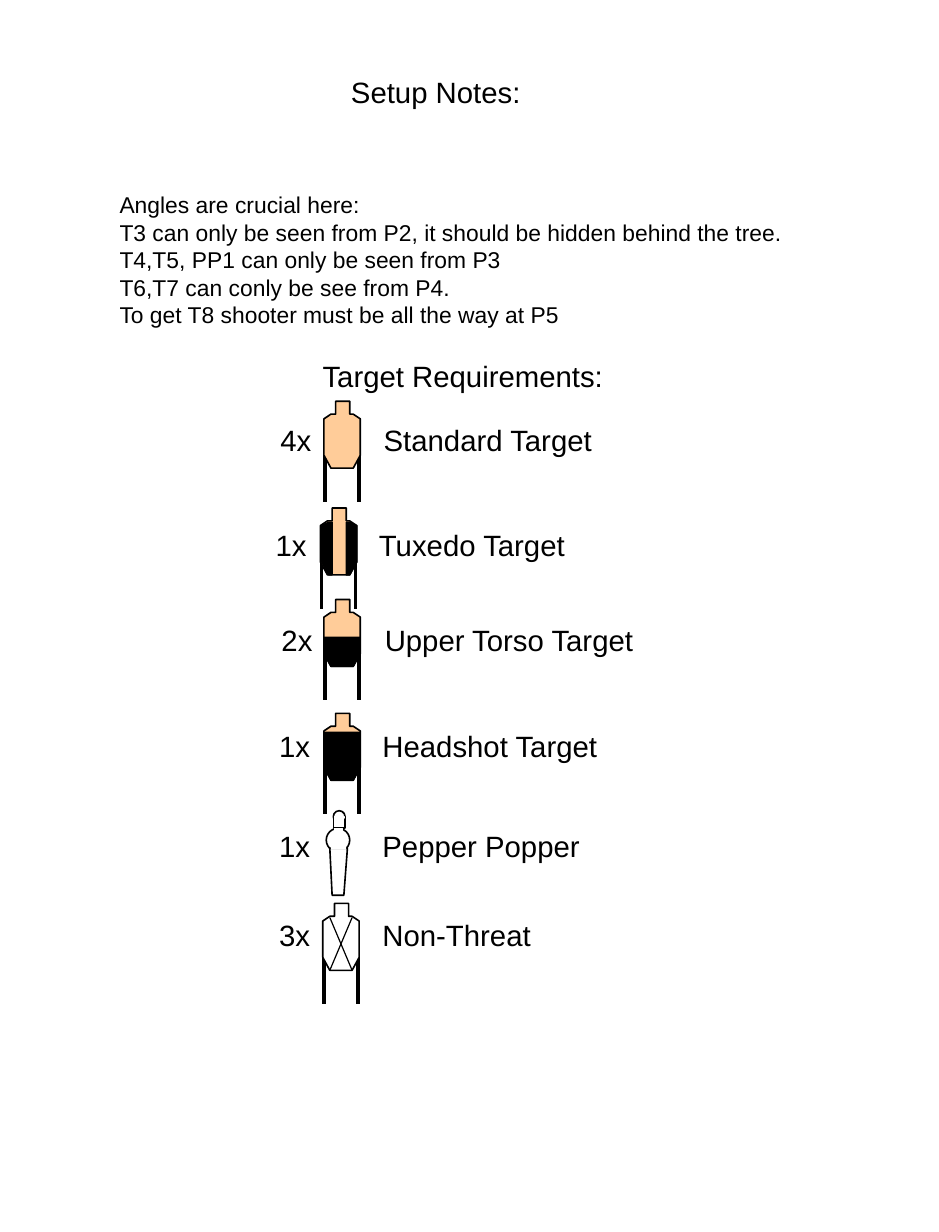
from lxml.etree import SubElement
from pptx import Presentation
from pptx.dml.color import RGBColor
from pptx.enum.shapes import MSO_CONNECTOR, MSO_SHAPE
from pptx.enum.text import MSO_ANCHOR, MSO_AUTO_SIZE, PP_ALIGN
from pptx.oxml.ns import qn
from pptx.util import Inches, Pt

BLACK = RGBColor(0x00, 0x00, 0x00)
WHITE = RGBColor(0xFF, 0xFF, 0xFF)
TAN = RGBColor(0xFF, 0xCC, 0x99)

SILHOUETTE = [(0.1, 0), (0.22, 0), (0.22, 0.11), (0.25, 0.11), (0.31, 0.15), (0.31, 0.46),
              (0.25, 0.57), (0.06, 0.57), (0, 0.46), (0, 0.15), (0.06, 0.11), (0.1, 0.11)]
RIGHT_LAPEL = [(0.22, 0.12), (0.22, 0.57), (0.25, 0.57), (0.31, 0.46), (0.31, 0.15), (0.25, 0.12)]
LEFT_LAPEL = [(0.32 - x, y) for x, y in RIGHT_LAPEL]
CROSS = [((0.25, 0.12), (0.06, 0.57)), ((0.06, 0.12), (0.25, 0.57))]
POPPER_BODY = [(0.03, 0.32), (0.18, 0.32), (0.15, 0.72), (0.05, 0.72)]

SETUP_NOTES = [
    "Angles are crucial here:",
    "T3 can only be seen from P2, it should be hidden behind the tree.",
    "T4,T5, PP1 can only be seen from P3",
    "T6,T7 can conly be see from P4.",
    "To get T8 shooter must be all the way at P5",
]


def lower_mask(top):
    """Return the outline of the blacked-out part below a given height."""
    return [(0, top), (0.31, top)] + SILHOUETTE[5:9]


TARGETS = [
    (2.76, 3.42, TAN, [], []),
    (2.73, 4.33, TAN, [LEFT_LAPEL, RIGHT_LAPEL], []),
    (2.76, 5.11, TAN, [lower_mask(0.32)], []),
    (2.76, 6.08, TAN, [lower_mask(0.16)], []),
    (2.75, 7.7, WHITE, [], CROSS),
]
LABELS = [
    ("4x", "Standard Target", 2.29, 3.55, 2.89),
    ("1x", "Tuxedo Target", 2.25, 4.44, 2.69),
    ("2x", "Upper Torso Target", 2.3, 5.25, 3.24),
    ("1x", "Headshot Target", 2.28, 6.16, 2.95),
    ("1x", "Pepper Popper", 2.28, 7.01, 2.8),
    ("3x", "Non-Threat", 2.28, 7.77, 2.38),
]


def write_text(text_frame, lines, size=18, wrap=False, tab=None):
    """Fill a text frame with left-aligned paragraphs."""
    text_frame.word_wrap = wrap
    text_frame.auto_size = MSO_AUTO_SIZE.SHAPE_TO_FIT_TEXT
    text_frame.vertical_anchor = MSO_ANCHOR.TOP
    for index, line in enumerate(lines):
        paragraph = text_frame.paragraphs[0] if index == 0 else text_frame.add_paragraph()
        paragraph.alignment = PP_ALIGN.LEFT
        if tab:
            tab_list = SubElement(paragraph._p.get_or_add_pPr(), qn("a:tabLst"))
            SubElement(tab_list, qn("a:tab"), pos=str(Inches(tab)), algn="l")
        run = paragraph.add_run()
        run.text = line
        run.font.name = "Arial"
        run.font.size = Pt(size)
        run.font.color.rgb = BLACK


class TargetSheet:
    """Draws titles, labels and shooting targets on one slide."""

    def __init__(self, slide):
        self.slide = slide
        self.shapes = slide.shapes

    def title(self, text, left, top, width, height):
        title = self.slide.shapes.title
        title.left, title.top = Inches(left), Inches(top)
        title.width, title.height = Inches(width), Inches(height)
        write_text(title.text_frame, [text])

    def text(self, lines, left, top, width, height=0.4, **style):
        box = self.slide.shapes.add_textbox(Inches(left), Inches(top), Inches(width), Inches(height))
        write_text(box.text_frame, lines, **style)

    def paint(self, shape, fill, line, width):
        shape.shadow.inherit = False
        shape.fill.solid()
        shape.fill.fore_color.rgb = fill
        if line is None:
            shape.line.fill.background()
        else:
            shape.line.color.rgb = line
            shape.line.width = Pt(width)

    def outline(self, points, left, top, fill, width=1):
        corners = [(Inches(left + x), Inches(top + y)) for x, y in points]
        builder = self.shapes.build_freeform(*corners[0])
        builder.add_line_segments(corners[1:])
        self.paint(builder.convert_to_shape(), fill, BLACK, width)

    def preset(self, kind, left, top, width, height, line=BLACK):
        shape = self.shapes.add_shape(kind, Inches(left), Inches(top), Inches(width), Inches(height))
        self.paint(shape, WHITE, line, 1)

    def line(self, start, end, left, top, width):
        connector = self.shapes.add_connector(
            MSO_CONNECTOR.STRAIGHT, Inches(left + start[0]), Inches(top + start[1]),
            Inches(left + end[0]), Inches(top + end[1]))
        connector.line.color.rgb = BLACK
        connector.line.width = Pt(width)
        SubElement(connector._element.spPr, qn("a:effectLst"))

    def target(self, left, top, fill, masks, strokes):
        self.shapes = self.slide.shapes.add_group_shape().shapes
        for x in (0.01, 0.3):
            self.line((x, 0.42), (x, 0.86), left, top, 2.25)
        self.outline(SILHOUETTE, left, top, fill)
        for mask in masks:
            self.outline(mask, left, top, BLACK, 0)
        for start, end in strokes:
            self.line(start, end, left, top, 0.75)

    def popper(self, left, top):
        self.shapes = self.slide.shapes.add_group_shape().shapes
        self.preset(MSO_SHAPE.OVAL, left + 0.06, top, 0.1, 0.1)
        self.preset(MSO_SHAPE.OVAL, left, top + 0.15, 0.2, 0.2)
        self.outline(POPPER_BODY, left, top, WHITE)
        self.preset(MSO_SHAPE.RECTANGLE, left + 0.06, top + 0.05, 0.1, 0.1)
        self.preset(MSO_SHAPE.RECTANGLE, left + 0.04, top + 0.31, 0.13, 0.02, None)
        self.preset(MSO_SHAPE.RECTANGLE, left + 0.07, top + 0.15, 0.07, 0.02, WHITE)
        self.preset(MSO_SHAPE.RECTANGLE, left + 0.07, top + 0.05, 0.08, 0.01, WHITE)


def main():
    """Build the target sheet and save it."""
    presentation = Presentation()
    presentation.slide_width = Inches(8)
    presentation.slide_height = Inches(10.5)
    sheet = TargetSheet(presentation.slides.add_slide(presentation.slide_layouts[5]))
    sheet.title("Setup Notes:", 2.89, 0.58, 1.66, 0.4)
    sheet.text(SETUP_NOTES, 0.92, 1.58, 6.17, 1.28, size=14, wrap=True)
    sheet.text(["Target Requirements:"], 2.65, 3, 2.7)
    for target in TARGETS:
        sheet.target(*target)
    sheet.popper(2.78, 6.91)
    for count, name, left, top, width in LABELS:
        sheet.text([f"{count}\t{name}"], left, top, width, tab=0.88)
    presentation.save("out.pptx")


if __name__ == "__main__":
    main()
